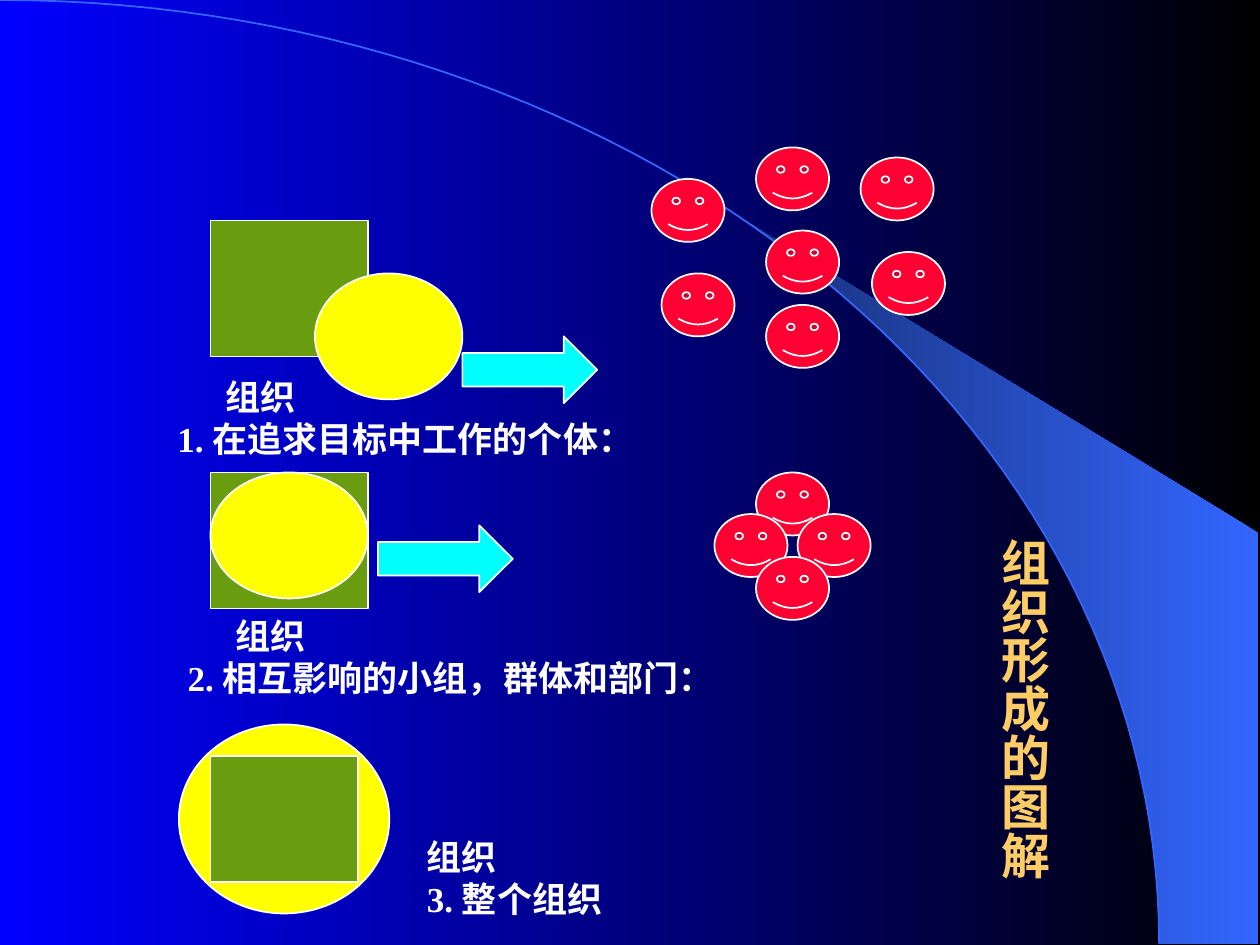
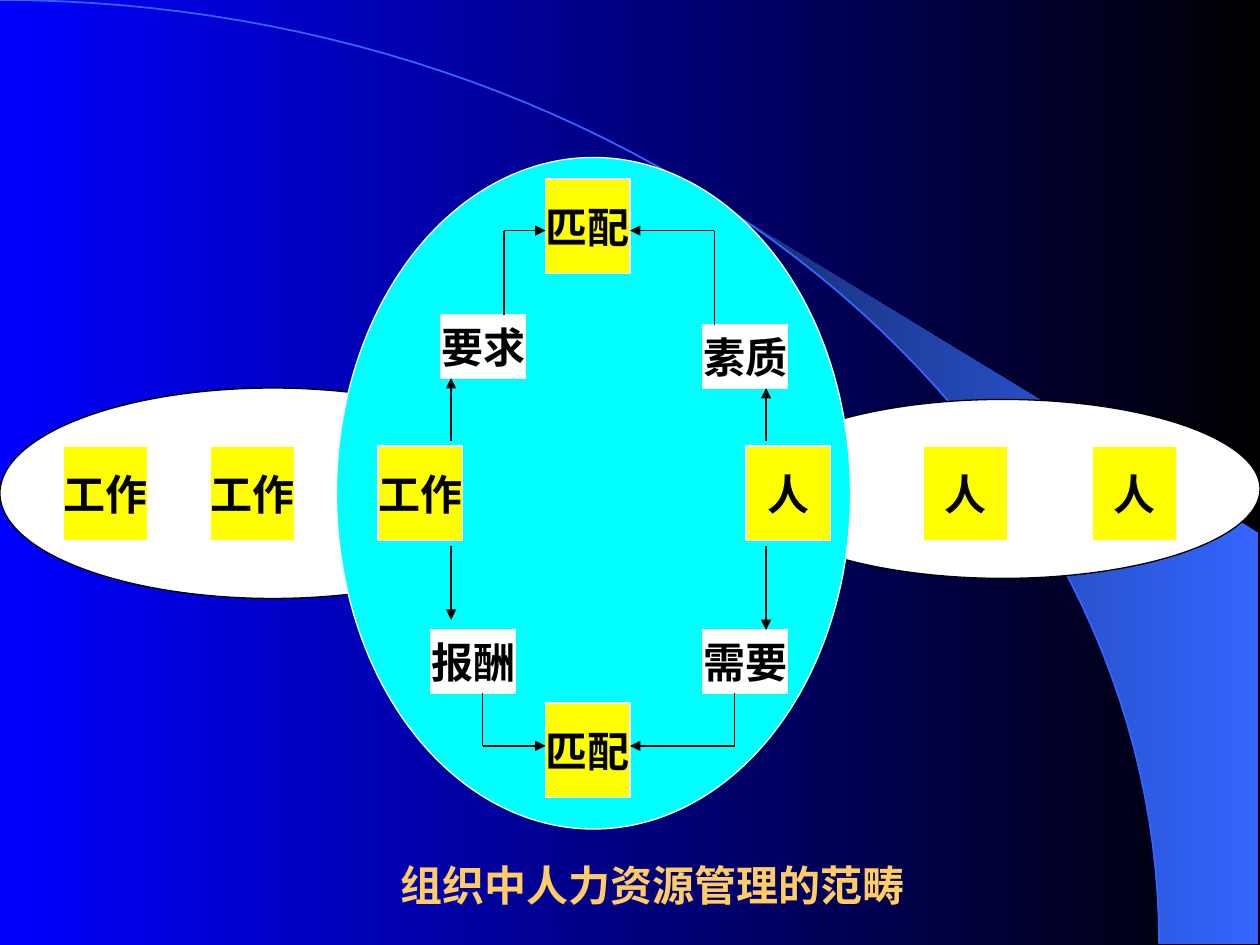
from math import asin, cos, pi, sin

from lxml import etree
from pptx import Presentation
from pptx.dml.color import RGBColor
from pptx.enum.shapes import MSO_CONNECTOR, MSO_SHAPE
from pptx.enum.text import MSO_ANCHOR, PP_ALIGN
from pptx.oxml.ns import qn
from pptx.util import Inches, Pt

RECT, OVAL = MSO_SHAPE.RECTANGLE, MSO_SHAPE.OVAL
ARROW, SMILE = MSO_SHAPE.RIGHT_ARROW, MSO_SHAPE.SMILEY_FACE
STRAIGHT = MSO_CONNECTOR.STRAIGHT
LEFT, CENTER = PP_ALIGN.LEFT, PP_ALIGN.CENTER
TOP, MIDDLE = MSO_ANCHOR.TOP, MSO_ANCHOR.MIDDLE

BLACK = RGBColor(0x00, 0x00, 0x00)
WHITE = RGBColor(0xFF, 0xFF, 0xFF)
BLUE = RGBColor(0x00, 0x00, 0xFF)
SKY = RGBColor(0x33, 0x66, 0xFF)
NAVY = RGBColor(0x17, 0x2F, 0x75)
GREEN = RGBColor(0x69, 0x9C, 0x0E)
YELLOW = RGBColor(0xFF, 0xFF, 0x00)
CYAN = RGBColor(0x00, 0xFF, 0xFF)
RED = RGBColor(0xFF, 0x00, 0x33)
GOLD = RGBColor(0xFF, 0xCC, 0x66)
FONT = "Times New Roman"


# Shared helpers

def blend(fill, first, last):
    fill.gradient()
    fill.gradient_angle = 180
    for stop, color in zip(fill.gradient_stops, (first, last)):
        stop.color.rgb = color


def add_form(slide, kind, box, fill, line=WHITE, width=1):
    form = slide.shapes.add_shape(kind, *map(Inches, box))
    form.shadow.inherit = False
    form.fill.solid()
    form.fill.fore_color.rgb = fill
    form.line.color.rgb = line
    form.line.width = Pt(width)
    return form


def write(frame, lines, size, color, align=LEFT, anchor=TOP):
    frame.word_wrap = False
    frame.vertical_anchor = anchor
    for i, line in enumerate(lines):
        para = frame.paragraphs[0] if i == 0 else frame.add_paragraph()
        para.alignment = align
        run = para.add_run()
        run.text = line
        run.font.name = FONT
        run.font.size = Pt(size)
        run.font.bold = True
        run.font.color.rgb = color


def add_text(slide, box, lines, size, color):
    frame = slide.shapes.add_textbox(*map(Inches, box)).text_frame
    write(frame, lines, size, color)
    return frame


def add_path(slide, points, close):
    start, *rest = [(Inches(x), Inches(y)) for x, y in points]
    pen = slide.shapes.build_freeform(*start)
    pen.add_line_segments(rest, close=close)
    form = pen.convert_to_shape()
    form.shadow.inherit = False
    return form


def arc(start, steps=60):
    """Points of the quarter ellipse from angle start down to the foot."""
    turns = [start + (pi / 2 - start) * i / steps for i in range(steps + 1)]
    return [(9.2 * sin(t), 7.49 * (1 - cos(t))) for t in turns]


def add_base(deck):
    """New slide with the wedge and the long curve."""
    slide = deck.slides.add_slide(deck.slide_layouts[6])
    wedge = add_path(slide, arc(asin(5.89 / 9.2)) + [(9.99, 7.49), (9.99, 4.23)], True)
    blend(wedge.fill, SKY, NAVY)
    wedge.line.fill.background()
    curve = add_path(slide, arc(0), False)
    curve.fill.background()
    curve.line.color.rgb = SKY
    curve.line.width = Pt(1)
    return slide


# Slide 1: stages of forming an organization

def add_pair(slide, left, top, oval, arrow):
    """Square and oval, with an arrow to the right; offsets from the square."""
    add_form(slide, RECT, (left, top, 1.25, 1.08), GREEN)
    x, y, wide = oval
    add_form(slide, OVAL, (left + x, top + y, wide, 1), YELLOW)
    x, y = arrow
    form = add_form(slide, ARROW, (left + x, top + y, 1.07, 0.53), CYAN)
    form.adjustments[1] = 0.502


def add_whole(slide, left, top):
    add_form(slide, OVAL, (left, top, 1.67, 1.5), YELLOW)
    add_form(slide, RECT, (left + 0.25, top + 0.25, 1.17, 1), GREEN)


def add_crowd(slide, left, top, spots):
    for x, y in spots:
        face = add_form(slide, SMILE, (left + x, top + y, 0.58, 0.5), RED)
        face.adjustments[0] = 0.093


def add_note(slide, left, top, width, line, indent=0.0):
    frame = add_text(slide, (left, top, width, 0.77), ("组织", line), 20, WHITE)
    if indent:
        props = frame.paragraphs[0]._p.get_or_add_pPr()
        props.set("marL", str(Inches(indent)))
        props.set("indent", "0")


def draw_stages(deck):
    slide = add_base(deck)
    add_pair(slide, 1.67, 1.75, (0.83, 0.42, 1.17), (2, 0.92))
    add_pair(slide, 1.67, 3.75, (0, 0, 1.25), (1.33, 0.42))
    add_whole(slide, 1.42, 5.75)
    add_note(slide, 1.31, 2.93, 3.88, "1. 在追求目标中工作的个体：", 0.38)
    add_note(slide, 1.39, 4.83, 4.44, "2. 相互影响的小组，群体和部门：", 0.38)
    add_note(slide, 3.29, 6.58, 1.66, "3. 整个组织")

    # Scattered people, then a close group
    add_crowd(slide, 5.17, 1.17, ((0, 0.25), (0.08, 1), (0.91, 1.25), (0.91, 0.66),
                                  (0.83, 0), (1.66, 0.08), (1.75, 0.83)))
    add_crowd(slide, 5.67, 3.75, ((0.33, 0), (0.66, 0.33), (0, 0.33), (0.33, 0.67)))

    # Upright title
    frame = add_text(slide, (7.75, 4.17, 0.66, 2.82), ("组织形成的图解",), 28, GOLD)
    frame.margin_left = frame.margin_right = Inches(0.05)
    frame.margin_top = frame.margin_bottom = Inches(0.1)
    frame._txBody.bodyPr.set("vert", "eaVert")


# Slide 2: matching jobs and people

def add_card(slide, left, top, text, fill=YELLOW, height=0.75):
    form = add_form(slide, RECT, (left, top, 0.67, height), fill, width=0.75)
    write(form.text_frame, (text,), 24, BLACK, CENTER, MIDDLE)


def add_route(slide, *points):
    """Straight legs through the points, with an arrowhead at the end."""
    for start, end in zip(points, points[1:]):
        leg = slide.shapes.add_connector(STRAIGHT, *map(Inches, start + end))
        leg.line.color.rgb = BLACK
        leg.line.width = Pt(0.75)
        if end == points[-1]:
            etree.SubElement(leg.line._ln, qn("a:tailEnd"), type="triangle")
        etree.SubElement(leg._element.spPr, qn("a:effectLst"))


def add_fields(slide):
    add_form(slide, OVAL, (0, 3.08, 4.33, 1.67), WHITE, BLACK, 0.75)
    add_form(slide, OVAL, (5.92, 3.17, 4.08, 1.42), WHITE, BLACK, 0.75)
    add_form(slide, OVAL, (2.67, 1.25, 4.08, 5.33), CYAN, WHITE, 0.75)


def add_cards(slide):
    for text, lefts in (("工作", (0.5, 1.67, 3)), ("人", (8.67, 7.33, 5.92))):
        for left in lefts:
            add_card(slide, left, 3.54, text)
    for top in (5.58, 1.42):
        add_card(slide, 4.33, top, "匹配")
    for left, top, text in ((3.5, 2.5, "要求"), (5.58, 2.58, "素质"),
                            (5.58, 5, "需要"), (3.42, 5, "报酬")):
        add_card(slide, left, top, text, WHITE, 0.5)


def add_routes(slide):
    # Jobs and people, up and down
    add_route(slide, (3.58, 3.5), (3.58, 3))
    add_route(slide, (3.58, 4.33), (3.58, 4.92))
    add_route(slide, (6.08, 4.33), (6.08, 5))
    add_route(slide, (6.08, 3.5), (6.08, 3.08))
    # Bent routes into the matches
    for x, y, turn, goal in ((3.83, 5.5, 5.92, 4.33), (5.83, 5.5, 5.92, 5),
                             (4, 2.5, 1.83, 4.33), (5.67, 2.58, 1.83, 5)):
        add_route(slide, (x, y), (x, turn), (goal, turn))


def draw_match(deck):
    slide = add_base(deck)
    add_fields(slide)
    add_cards(slide)
    add_routes(slide)
    add_text(slide, (3.08, 6.77, 4.2, 0.5), ("组织中人力资源管理的范畴",), 24, GOLD)


def main():
    deck = Presentation()
    deck.slide_width, deck.slide_height = Inches(10), Inches(7.5)
    blend(deck.slide_master.background.fill, BLACK, BLUE)
    draw_stages(deck)
    draw_match(deck)
    deck.save("out.pptx")


if __name__ == "__main__":
    main()
